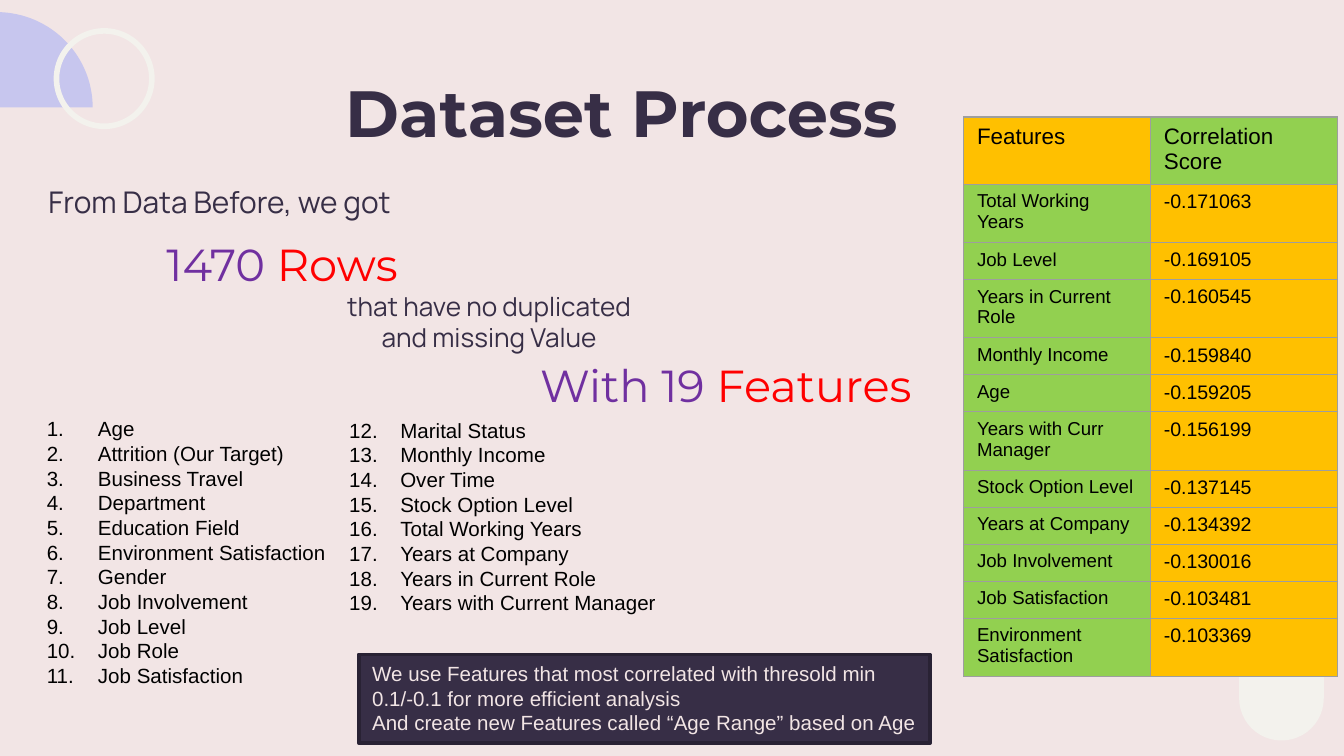
from dataclasses import dataclass
from math import cos, pi, sin

from lxml.etree import SubElement
from pptx import Presentation
from pptx.dml.color import RGBColor
from pptx.enum.shapes import MSO_SHAPE
from pptx.enum.text import MSO_ANCHOR, PP_ALIGN
from pptx.oxml.ns import qn
from pptx.util import Inches, Pt


@dataclass(frozen=True)
class Theme:
    background: str = "F2E5E5"
    ink: str = "372E46"
    ink_edge: str = "292234"
    lilac: str = "C7C6EE"
    cream: str = "F3F2ED"
    purple: str = "7030A0"
    red: str = "FF0000"
    black: str = "000000"
    amber: str = "FFC000"
    green: str = "92D050"
    border: str = "9E9E9E"
    display: str = "Montserrat"
    text: str = "Manrope"
    plain: str = "Arial"
    title_size: float = 35
    figure_size: float = 24
    lead_size: float = 16
    note_size: float = 14
    body_size: float = 11
    header_size: float = 12
    feature_size: float = 10
    score_size: float = 10.5


THEME = Theme()

FEATURES = [
    "Age", "Attrition (Our Target)", "Business Travel", "Department",
    "Education Field", "Environment Satisfaction", "Gender",
    "Job Involvement", "Job Level", "Job Role", "Job Satisfaction",
    "Marital Status", "Monthly Income", "Over Time", "Stock Option Level",
    "Total Working Years", "Years at Company", "Years in Current Role",
    "Years with Current Manager",
]
FIRST_COLUMN_COUNT = 11

SCORES = [
    ("Total Working Years", "-0.171063"),
    ("Job Level", "-0.169105"),
    ("Years in Current Role", "-0.160545"),
    ("Monthly Income", "-0.159840"),
    ("Age", "-0.159205"),
    ("Years with Curr Manager", "-0.156199"),
    ("Stock Option Level", "-0.137145"),
    ("Years at Company", "-0.134392"),
    ("Job Involvement", "-0.130016"),
    ("Job Satisfaction", "-0.103481"),
    ("Environment Satisfaction", "-0.103369"),
]


def color(value):
    return RGBColor.from_string(value)


def inches(box):
    return [Inches(length) for length in box]


def add_span(para, text, font, size, ink, bold=False):
    span = para.add_run()
    span.text = text
    span.font.name = font
    span.font.size = Pt(size)
    span.font.bold = bold
    span.font.color.rgb = color(ink)


def add_text_box(page, box, inset=0.1, anchor=MSO_ANCHOR.TOP):
    frame = page.shapes.add_textbox(*inches(box)).text_frame
    frame.word_wrap = True
    frame.vertical_anchor = anchor
    frame.margin_top = frame.margin_bottom = Inches(inset)
    return frame


def paint(shape, fill=None, line=None, width=1):
    shape.shadow.inherit = False
    if fill:
        shape.fill.solid()
        shape.fill.fore_color.rgb = color(fill)
    else:
        shape.fill.background()
    if line:
        shape.line.color.rgb = color(line)
        shape.line.width = Pt(width)
    else:
        shape.line.fill.background()


def add_half_disc(page, box):
    left, top, width, height = box
    center, base = left + width / 2, top + height
    steps = 60
    angles = [pi - pi * step / steps for step in range(steps + 1)]
    points = [(Inches(center + width / 2 * cos(angle)),
               Inches(base - height * sin(angle))) for angle in angles]
    builder = page.shapes.build_freeform(*points[0])
    builder.add_line_segments(points[1:], close=True)
    paint(builder.convert_to_shape(), THEME.lilac)


def add_decoration(page):
    pill = page.shapes.add_shape(MSO_SHAPE.ROUNDED_RECTANGLE, *inches((9.22, 4.1, 0.63, 1.41)))
    pill.adjustments[0] = 0.5
    paint(pill, THEME.cream)
    add_half_disc(page, (-0.74, 0.09, 1.43, 0.71))
    ring = page.shapes.add_shape(MSO_SHAPE.OVAL, *inches((0.42, 0.23, 0.71, 0.71)))
    paint(ring, line=THEME.cream, width=3)


def add_centered(page, box, text, font, size, bold=False):
    para = add_text_box(page, box).paragraphs[0]
    para.alignment = PP_ALIGN.CENTER
    add_span(para, text, font, size, THEME.ink, bold)


def add_figure(page, box, lead, accent):
    para = add_text_box(page, box, anchor=MSO_ANCHOR.BOTTOM).paragraphs[0]
    for text, ink in ((lead, THEME.purple), (accent, THEME.red)):
        add_span(para, text, THEME.display, THEME.figure_size, ink)


def add_lines(frame, lines, ink):
    for index, text in enumerate(lines):
        para = frame.add_paragraph() if index else frame.paragraphs[0]
        para.alignment = PP_ALIGN.LEFT
        add_span(para, text, THEME.plain, THEME.body_size, ink)


def add_numbered_list(page, box, items, start):
    frame = add_text_box(page, box, inset=0.05)
    add_lines(frame, items, THEME.black)
    indent = Inches(0.38)
    for para in frame.paragraphs:
        properties = para._p.get_or_add_pPr()
        properties.set("marL", str(indent))
        properties.set("indent", str(-indent))
        SubElement(properties, qn("a:buFont"), typeface=THEME.plain)
        SubElement(properties, qn("a:buAutoNum"), type="arabicPeriod", startAt=str(start))


def add_note(page, box, lines):
    panel = page.shapes.add_shape(MSO_SHAPE.RECTANGLE, *inches(box))
    paint(panel, THEME.ink, THEME.ink_edge, 2)
    panel.text_frame.word_wrap = True
    panel.text_frame.vertical_anchor = MSO_ANCHOR.TOP
    add_lines(panel.text_frame, lines, THEME.background)


def fill_cell(cell, text, size, fill):
    add_span(cell.text_frame.paragraphs[0], text, THEME.plain, size, THEME.black)
    properties = cell._tc.get_or_add_tcPr()
    for side in ("a:lnL", "a:lnR", "a:lnT", "a:lnB"):
        edge = SubElement(properties, qn(side), w=str(Pt(0.75)))
        SubElement(SubElement(edge, qn("a:solidFill")), qn("a:srgbClr"), val=THEME.border)
    cell.fill.solid()
    cell.fill.fore_color.rgb = color(fill)


def add_score_table(page, box):
    table = page.shapes.add_table(len(SCORES) + 1, 2, *inches(box)).table
    table.first_row = table.horz_banding = False
    header, single, double = 0.5, 0.27, 0.43
    table.rows[0].height = Inches(header)
    fill_cell(table.cell(0, 0), "Features", THEME.header_size, THEME.amber)
    fill_cell(table.cell(0, 1), "Correlation Score", THEME.header_size, THEME.green)
    for row, (feature, score) in enumerate(SCORES, start=1):
        wraps = len(feature) > len("Stock Option Level")
        table.rows[row].height = Inches(double if wraps else single)
        fill_cell(table.cell(row, 0), feature, THEME.feature_size, THEME.green)
        fill_cell(table.cell(row, 1), score, THEME.score_size, THEME.amber)


def build_page(page):
    page.background.fill.solid()
    page.background.fill.fore_color.rgb = color(THEME.background)
    add_decoration(page)

    # Title and key figures
    add_centered(page, (1.5, 0.44, 6.25, 0.63), "Dataset Process",
                 THEME.display, THEME.title_size, bold=True)
    add_centered(page, (-0.25, 1.27, 3.77, 0.49), "From Data Before, we got",
                 THEME.text, THEME.lead_size)
    add_figure(page, (1.14, 1.81, 2.45, 0.45), "1470", " Rows")
    add_centered(page, (2.33, 2.06, 2.62, 0.66), "that have no duplicated and missing Value",
                 THEME.text, THEME.note_size)
    add_figure(page, (3.92, 2.71, 3.75, 0.45), "With 19 ", "Features")

    # Feature list in two columns
    add_numbered_list(page, (0.25, 3.05, 3.08, 2.5), FEATURES[:FIRST_COLUMN_COUNT], 1)
    add_numbered_list(page, (2.5, 3.06, 3.08, 2.14), FEATURES[FIRST_COLUMN_COUNT:],
                      FIRST_COLUMN_COUNT + 1)

    # Correlation scores and conclusion
    add_score_table(page, (7.17, 0.87, 2.78, 4.16))
    add_note(page, (2.67, 4.87, 4.25, 0.66), [
        "We use Features that most correlated with thresold min 0.1/-0.1 for more efficient analysis",
        "And create new Features called “Age Range” based on Age",
    ])


def main():
    deck = Presentation()
    deck.slide_width = Inches(10)
    deck.slide_height = deck.slide_width * 9 // 16
    build_page(deck.slides.add_slide(deck.slide_layouts[6]))
    deck.save("out.pptx")


if __name__ == "__main__":
    main()
